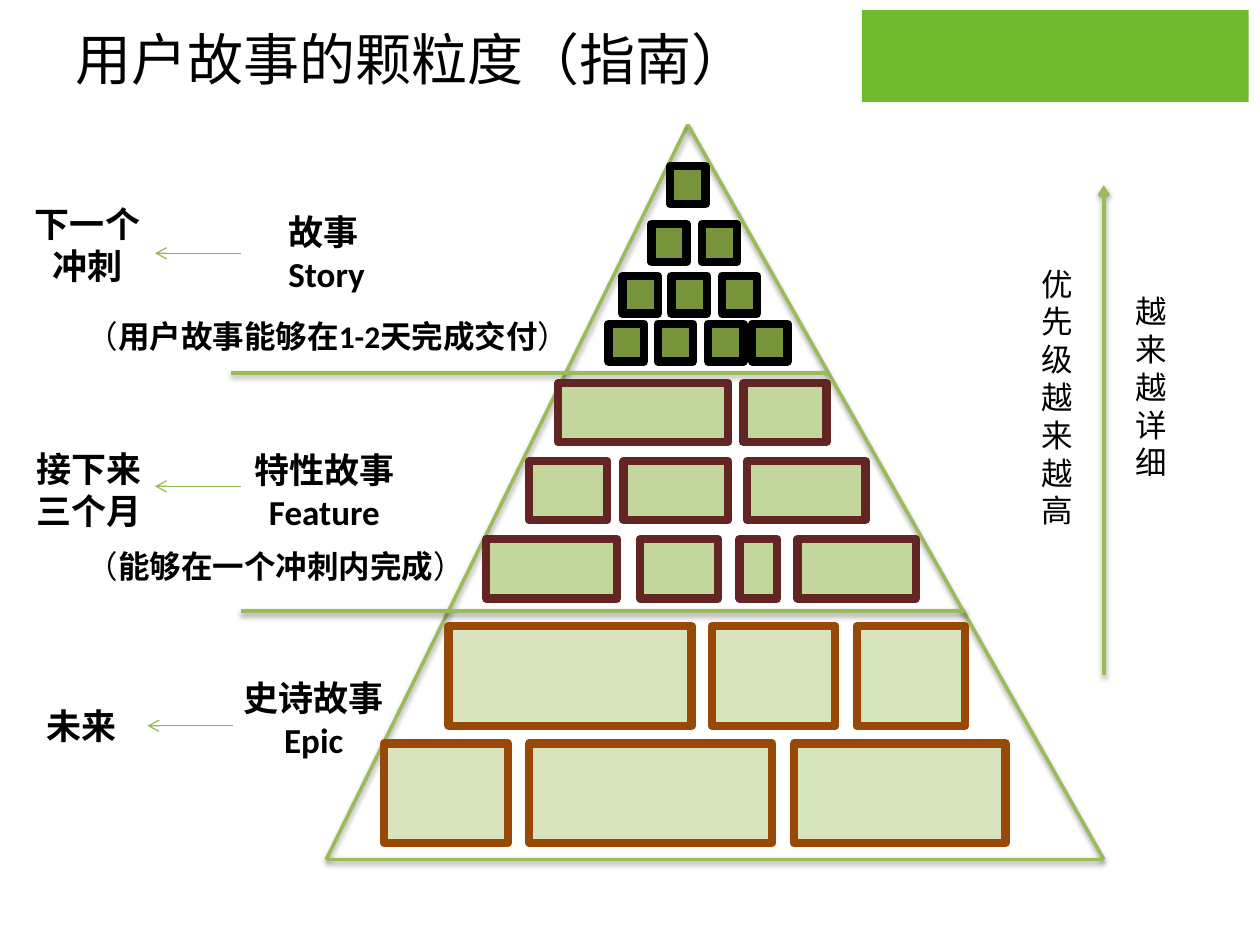
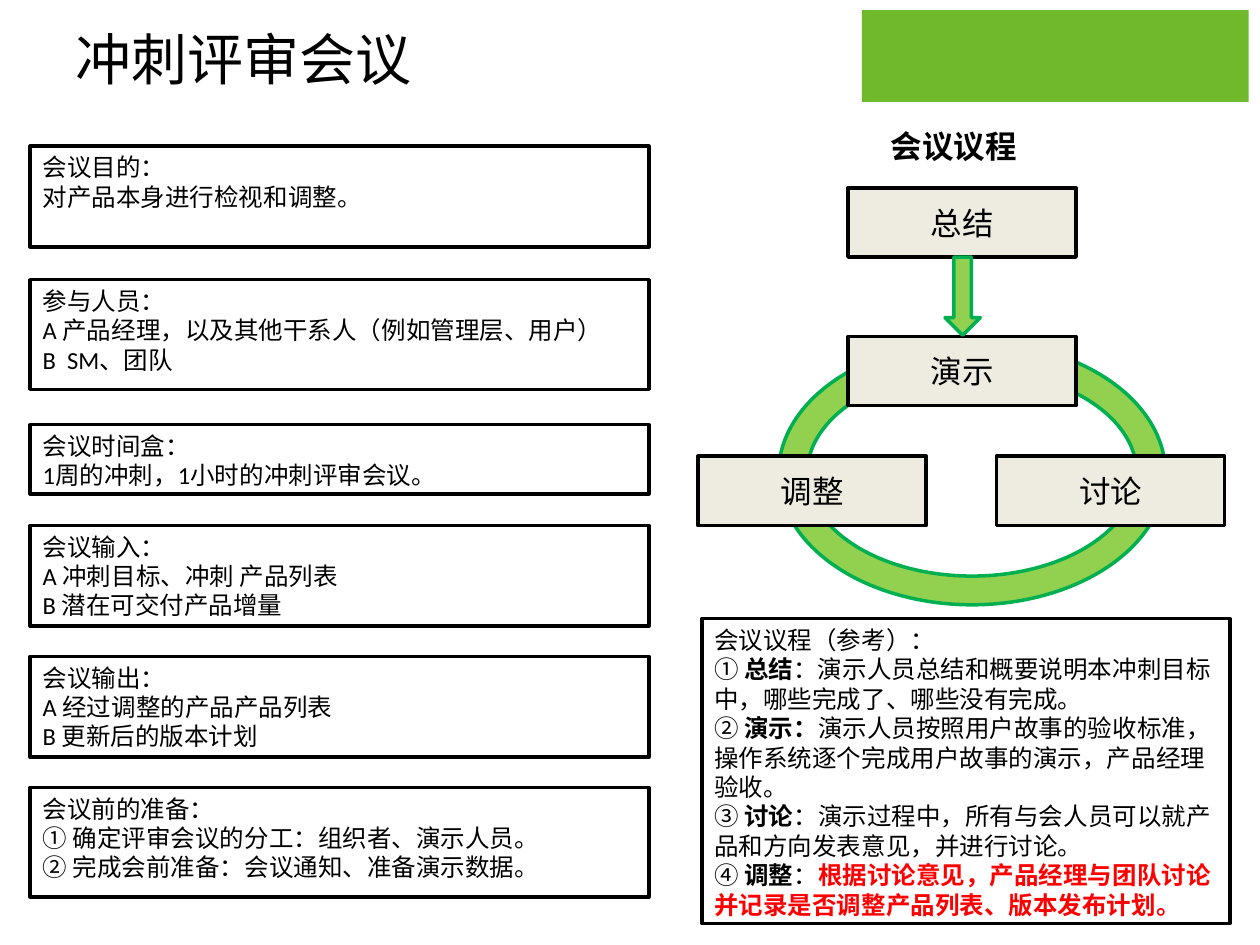
from lxml.etree import SubElement
from pptx import Presentation
from pptx.dml.color import RGBColor
from pptx.enum.shapes import MSO_CONNECTOR as Link, MSO_SHAPE as Shape
from pptx.enum.text import MSO_ANCHOR as Anchor, MSO_AUTO_SIZE as Fit, PP_ALIGN as Align
from pptx.oxml.ns import qn
from pptx.util import Inches, Pt

COLORS = {
    "band": "70B92C", "text": "000000", "alert": "FF0000",
    "edge": "9BBB59", "pointer": "98B955",
    "story": "77933C", "feature": "C3D69B", "feature_edge": "632523",
    "epic": "D7E4BD", "epic_edge": "984807",
    "step": "EEECE1", "cycle": "92D050", "cycle_edge": "00B050",
}
TITLE_FONT, BODY_FONT = "Noto Sans CJK SC", "Calibri"
BOLD = {"bold": True}

APEX, BASE_LEFT, BASE_RIGHT = (5.46, 0.99), (2.59, 6.82), (8.76, 6.82)
DIVIDERS = [(1.83, 6.56, 2.96), (1.91, 7.66, 4.85)]

BLOCK_ROWS = [
    ("story", "text", 1.32, 0.3, [(5.32, 0.28)]),
    ("story", "text", 1.78, 0.3, [(5.17, 0.28), (5.57, 0.28)]),
    ("story", "text", 2.19, 0.3, [(4.94, 0.28), (5.33, 0.28), (5.73, 0.28)]),
    ("story", "text", 2.57, 0.3, [(4.83, 0.28), (5.22, 0.28), (5.62, 0.28), (5.97, 0.28)]),
    ("feature", "feature_edge", 3.04, 0.47, [(4.43, 1.35), (5.9, 0.66)]),
    ("feature", "feature_edge", 3.66, 0.47, [(4.2, 0.62), (4.95, 0.83), (5.93, 0.94)]),
    ("feature", "feature_edge", 4.28, 0.47, [(3.86, 1.04), (5.08, 0.62), (5.87, 0.3), (6.33, 0.94)]),
    ("epic", "epic_edge", 4.97, 0.79, [(3.56, 1.93), (5.65, 0.98), (6.8, 0.86)]),
    ("epic", "epic_edge", 5.9, 0.79, [(3.05, 0.98), (4.2, 1.93), (6.3, 1.68)]),
]

LEVEL_LABELS = [
    (["故事", "Story"], (2.19, 1.62, 0.92, 0.77), Align.LEFT),
    (["特性故事", "Feature"], (1.91, 3.51, 1.33, 0.77), Align.CENTER),
    (["史诗故事", "Epic"], (1.83, 5.32, 1.32, 0.77), Align.CENTER),
    (["下一个", "冲刺"], (0.17, 1.56, 1.05, 0.77), Align.CENTER),
    (["接下来", "三个月"], (0.19, 3.5, 1.05, 0.77), Align.LEFT),
    (["未来"], (0.27, 5.54, 0.77, 0.44), Align.LEFT),
]
POINTERS = [(1.91, 2.01), (1.91, 3.86), (1.85, 5.76)]
LEVEL_NOTES = [
    ("用户故事能够在1-2天完成交付", (0.59, 2.47, 4.12, 0.4)),
    ("能够在一个冲刺内完成", (0.59, 4.29, 3.25, 0.4)),
]
AXIS_LABELS = [
    ("越来越详细", (8.91, 2.27, 0.39, 1.62)),
    ("优先级越来越高", (8.17, 2.05, 0.39, 2.22)),
]

CARDS = [
    (1.16, 0.8, ["会议目的：", "对产品本身进行检视和调整。"]),
    (2.22, 0.87, ["参与人员：", "A 产品经理，以及其他干系人（例如管理层、用户）", "B  SM、团队"]),
    (3.37, 0.55, ["会议时间盒：", "1周的冲刺，1小时的冲刺评审会议。"]),
    (4.17, 0.8, ["会议输入：", "A 冲刺目标、冲刺 产品列表", "B 潜在可交付产品增量"]),
    (5.21, 0.8, ["会议输出：", "A 经过调整的产品产品列表", "B 更新后的版本计划"]),
    (6.25, 0.87, ["会议前的准备：", "① 确定评审会议的分工：组织者、演示人员。",
                  "② 完成会前准备：会议通知、准备演示数据。"]),
]
AGENDA = [
    "会议议程（参考）：",
    ["① ", ("总结", BOLD), "：演示人员总结和概要说明本冲刺目标中，哪些完成了、哪些没有完成。"],
    ["② ", ("演示：", BOLD),
     "演示人员按照用户故事的验收标准，操作系统逐个完成用户故事的演示，产品经理验收。"],
    ["③", (" 讨论", BOLD), "：演示过程中，所有与会人员可以就产品和方向发表意见，并进行讨论。"],
    ["④ ", ("调整", BOLD), "：",
     ("根据讨论意见，产品经理与团队讨论并记录是否调整产品列表、版本发布计划。",
      {"bold": True, "color": "alert"})],
]
STEPS = [("总结", 6.73, 1.49), ("演示", 6.73, 2.67), ("讨论", 7.91, 3.62), ("调整", 5.54, 3.62)]


def rgb(name):
    return RGBColor.from_string(COLORS[name])


def inches(*lengths):
    return [Inches(length) for length in lengths]


def write(box, lines, size=18, bold=False, color="text", font=BODY_FONT,
          align=Align.LEFT, anchor=Anchor.TOP, wrap=True):
    frame = box.text_frame
    frame.word_wrap, frame.vertical_anchor = wrap, anchor
    for index, line in enumerate(lines):
        para = frame.add_paragraph() if index else frame.paragraphs[0]
        para.alignment = align
        for part in [line] if isinstance(line, str) else line:
            text, style = (part, {}) if isinstance(part, str) else part
            span = para.add_run()
            span.text = text
            span.font.size, span.font.name = Pt(size), font
            span.font.bold = style.get("bold", bold)
            span.font.color.rgb = rgb(style.get("color", color))
            SubElement(span.font._element, qn("a:ea"), typeface=TITLE_FONT)


def add_label(page, lines, place, **style):
    box = page.shapes.add_textbox(*inches(*place))
    write(box, lines, **style)
    box.text_frame.auto_size = Fit.SHAPE_TO_FIT_TEXT


def add_block(page, place, fill=None, edge="text", width=2, kind=Shape.RECTANGLE):
    block = page.shapes.add_shape(kind, *inches(*place))
    block.shadow.inherit = False
    if fill:
        block.fill.solid()
        block.fill.fore_color.rgb = rgb(fill)
    else:
        block.fill.background()
    if edge:
        block.line.color.rgb, block.line.width = rgb(edge), Pt(width)
    else:
        block.line.fill.background()
    return block


def add_line(page, start, end, color="edge", width=2, arrow=False, shadow=True):
    line = page.shapes.add_connector(Link.STRAIGHT, *inches(*start, *end))
    line.line.color.rgb, line.line.width = rgb(color), Pt(width)
    if arrow:
        SubElement(line.line._get_or_add_ln(), qn("a:tailEnd"), type="arrow")
    effects = SubElement(line._element.spPr, qn("a:effectLst"))
    if shadow:
        cast = SubElement(effects, qn("a:outerShdw"), blurRad=str(Pt(3.1)), dist=str(Pt(1.6)),
                          dir="5400000", rotWithShape="0")
        tint = SubElement(cast, qn("a:srgbClr"), val=COLORS["text"])
        SubElement(tint, qn("a:alpha"), val="38000")


def add_page(deck, title):
    page = deck.slides.add_slide(deck.slide_layouts[5])
    write(page.shapes.title, [title], size=32, font=TITLE_FONT, anchor=Anchor.MIDDLE)
    return page


def set_layout(deck, page):
    layout = deck.slide_layouts[5]
    heading = layout.placeholders[0]
    heading.left, heading.top, heading.width, heading.height = inches(0.5, 0.18, 5.57, 0.56)
    band = add_block(page, (6.84, 0.08, 3.07, 0.73), "band", None)
    layout.shapes.element.insert(2, band.element)


def draw_pyramid(page):
    for start, end in [(APEX, BASE_LEFT), (APEX, BASE_RIGHT), (BASE_LEFT, BASE_RIGHT)]:
        add_line(page, start, end)
    for left, right, level in DIVIDERS:
        add_line(page, (left, level), (right, level))
    for fill, edge, top, height, blocks in BLOCK_ROWS:
        for left, width in blocks:
            add_block(page, (left, top, width, height), fill, edge, 4.75)
    for lines, place, align in LEVEL_LABELS:
        add_label(page, lines, place, size=20, bold=True, align=align, wrap=False)
    for right, level in POINTERS:
        add_line(page, (right, level), (right - 0.68, level), "pointer", 0.75, True, False)
    for note, place in LEVEL_NOTES:
        add_label(page, [["（", (note, BOLD), "）"]], place)
    add_line(page, (8.76, 5.36), (8.76, 1.47), arrow=True)
    for text, place in AXIS_LABELS:
        add_label(page, [text], place)


def draw_review(page):
    ring = add_block(page, (6.18, 2.71, 3.07, 2.09), "cycle", "cycle_edge", kind=Shape.DONUT)
    ring.adjustments[0] = 0.109
    for top, height, lines in CARDS:
        write(add_block(page, (0.24, top, 4.91, height)), lines, size=14)
    write(add_block(page, (5.57, 4.91, 4.19, 2.42)), AGENDA, size=14)
    for text, left, top in STEPS:
        step = add_block(page, (left, top, 1.81, 0.55), "step")
        write(step, [text], align=Align.CENTER, anchor=Anchor.MIDDLE)
    add_block(page, (7.5, 2.04, 0.28, 0.62), "cycle", "cycle_edge", kind=Shape.DOWN_ARROW)
    add_label(page, ["会议议程"], (6.97, 0.96, 1.22, 0.4), bold=True, wrap=False)


def main():
    deck = Presentation()
    deck.slide_width, deck.slide_height = inches(10, 7.5)
    pyramid = add_page(deck, "用户故事的颗粒度（指南）")
    set_layout(deck, pyramid)
    draw_pyramid(pyramid)
    draw_review(add_page(deck, "冲刺评审会议"))
    deck.save("out.pptx")


if __name__ == "__main__":
    main()
